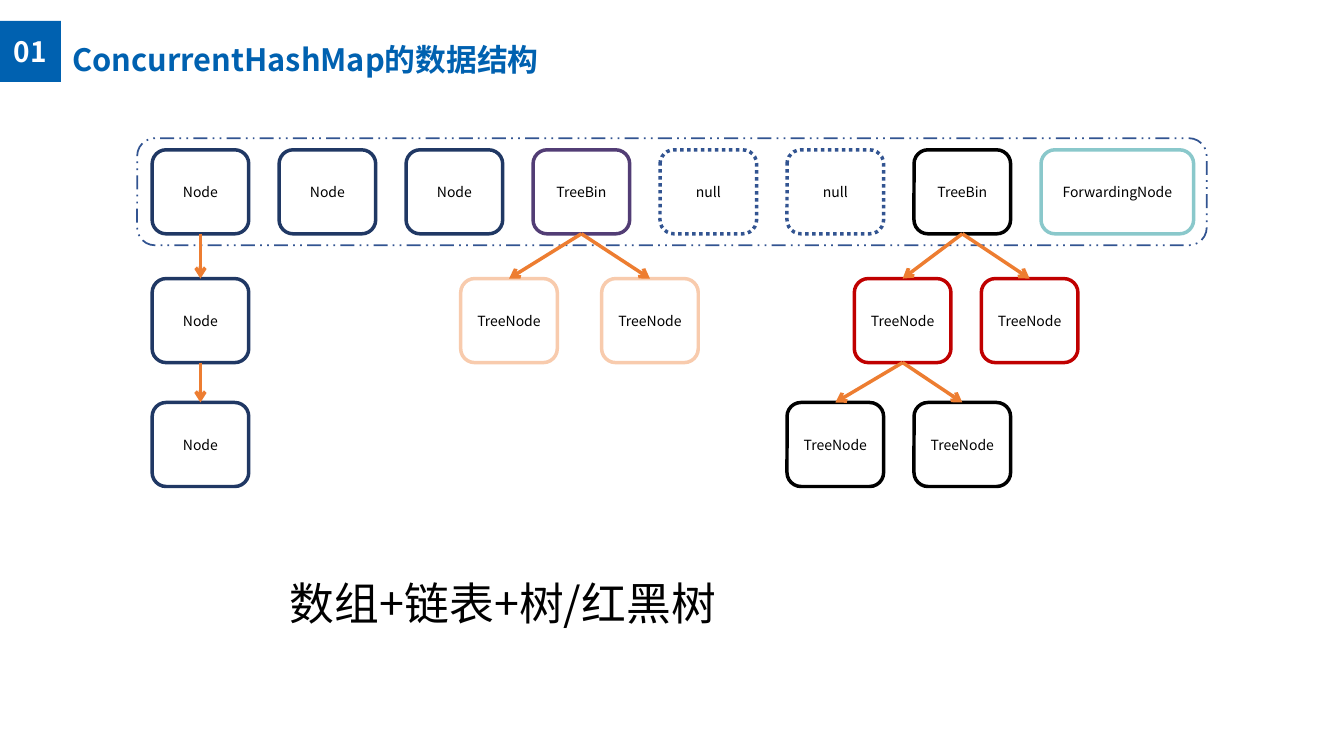
"""Build a slide on the data structure behind ConcurrentHashMap."""
from lxml import etree
from pptx import Presentation
from pptx.dml.color import RGBColor
from pptx.enum.dml import MSO_LINE
from pptx.enum.shapes import MSO_CONNECTOR, MSO_SHAPE
from pptx.enum.text import MSO_ANCHOR, MSO_AUTO_SIZE, PP_ALIGN
from pptx.oxml.ns import qn
from pptx.util import Pt

RECTANGLE, ROUNDED = MSO_SHAPE.RECTANGLE, MSO_SHAPE.ROUNDED_RECTANGLE
STRAIGHT = MSO_CONNECTOR.STRAIGHT
DOTTED, DASH_DOT_DOT = MSO_LINE.ROUND_DOT, MSO_LINE.DASH_DOT_DOT
LEFT, CENTER = PP_ALIGN.LEFT, PP_ALIGN.CENTER
TOP, MIDDLE = MSO_ANCHOR.TOP, MSO_ANCHOR.MIDDLE
NO_AUTOFIT = MSO_AUTO_SIZE.NONE

FONT = "Noto Sans CJK SC"
BLUE = RGBColor(0x00, 0x61, 0xB0)
NAVY = RGBColor(0x20, 0x38, 0x64)
INDIGO = RGBColor(0x32, 0x54, 0x91)
PURPLE = RGBColor(0x52, 0x3D, 0x75)
PEACH = RGBColor(0xF8, 0xCB, 0xAD)
TEAL = RGBColor(0x8A, 0xC8, 0xCB)
RED = RGBColor(0xC0, 0x00, 0x00)
ORANGE = RGBColor(0xED, 0x7D, 0x31)
BLACK = RGBColor(0x00, 0x00, 0x00)
WHITE = RGBColor(0xFF, 0xFF, 0xFF)

TITLE = "ConcurrentHashMap的数据结构"
SECTION = "01"
CAPTION = "数组+链表+树/红黑树"

BUCKETS = [
    ("Node", NAVY, None),
    ("Node", NAVY, None),
    ("Node", NAVY, None),
    ("TreeBin", PURPLE, None),
    ("null", INDIGO, DOTTED),
    ("null", INDIGO, DOTTED),
    ("TreeBin", BLACK, None),
    ("ForwardingNode", TEAL, None),
]
CHILDREN = {
    "chain 1": ("Node", NAVY, 1, 0),
    "chain 2": ("Node", NAVY, 2, 0),
    "peach left": ("TreeNode", PEACH, 1, 2.43),
    "peach right": ("TreeNode", PEACH, 1, 3.54),
    "red left": ("TreeNode", RED, 1, 5.53),
    "red right": ("TreeNode", RED, 1, 6.53),
    "black left": ("TreeNode", BLACK, 2, 5),
    "black right": ("TreeNode", BLACK, 2, 6),
}
LINKS = [
    (0, "chain 1"), ("chain 1", "chain 2"),
    (3, "peach left"), (3, "peach right"),
    (6, "red left"), (6, "red right"),
    ("red left", "black left"), ("red left", "black right"),
]

GRID_LEFT, COLUMN_PITCH = 108.7, 90.7
ROW_TOPS = [107, 199, 287.5]
NODE_WIDTH, NODE_HEIGHT, FORWARDING_WIDTH = 69, 60, 109


def write_text(shape, text, size, color=BLACK, bold=False, align=CENTER,
               anchor=MIDDLE, spacing=None):
    """Write one formatted paragraph into a shape."""
    frame = shape.text_frame
    frame.auto_size = NO_AUTOFIT
    frame.word_wrap = True
    frame.vertical_anchor = anchor
    paragraph = frame.paragraphs[0]
    paragraph.alignment = align
    if spacing:
        paragraph.line_spacing = spacing
    run = paragraph.add_run()
    run.text = text
    run.font.name = FONT
    run.font.size = Pt(size)
    run.font.bold = bold
    run.font.color.rgb = color
    etree.SubElement(run.font._element, qn("a:ea"), typeface=FONT)


def add_box(slide, kind, left, top, width, height, fill=None, line=None,
            weight=2.5, dash=None):
    """Add a flat shape with the given fill and outline."""
    shape = slide.shapes.add_shape(kind, Pt(left), Pt(top), Pt(width), Pt(height))
    shape.shadow.inherit = False
    if fill is None:
        shape.fill.background()
    else:
        shape.fill.solid()
        shape.fill.fore_color.rgb = fill
    if line is None:
        shape.line.fill.background()
    else:
        shape.line.color.rgb = line
        shape.line.width = Pt(weight)
        if dash:
            shape.line.dash_style = dash
    return shape


def add_node(slide, text, color, row, column, width=NODE_WIDTH, dash=None):
    """Add a labelled node at a row and column of the grid."""
    left = GRID_LEFT + column * COLUMN_PITCH
    node = add_box(slide, ROUNDED, left, ROW_TOPS[row], width, NODE_HEIGHT,
                   fill=WHITE, line=color, dash=dash)
    write_text(node, text, 10)
    return node


def link(slide, parent, child):
    """Join the bottom of a parent to the top of a child with an arrow."""
    connector = slide.shapes.add_connector(STRAIGHT, 0, 0, 0, 0)
    connector.begin_connect(parent, 2)
    connector.end_connect(child, 0)
    connector.line.color.rgb = ORANGE
    connector.line.width = Pt(2.5)
    etree.SubElement(connector.line._get_or_add_ln(), qn("a:tailEnd"), type="arrow")
    etree.SubElement(connector._element.spPr, qn("a:effectLst"))


def main():
    """Build and save the presentation."""
    presentation = Presentation()
    presentation.slide_width, presentation.slide_height = Pt(960), Pt(540)
    slide = presentation.slides.add_slide(presentation.slide_layouts[5])

    title = slide.shapes.title
    title.left, title.top, title.width, title.height = Pt(44.6), Pt(-1.4), Pt(360), Pt(60.5)
    write_text(title, TITLE, 22, color=BLUE, bold=True, align=LEFT, spacing=2.0)

    badge = add_box(slide, RECTANGLE, 0, 15, 43.5, 43.5, fill=BLUE)
    write_text(badge, SECTION, 20, color=WHITE, bold=True)

    caption = slide.shapes.add_textbox(Pt(200), Pt(408), Pt(325.5), Pt(46))
    write_text(caption, CAPTION, 32, align=LEFT, anchor=TOP)

    add_box(slide, ROUNDED, 98, 98.7, 764, 76.5, line=INDIGO, weight=1.25,
            dash=DASH_DOT_DOT)
    nodes = {}
    for column, (text, color, dash) in enumerate(BUCKETS):
        width = FORWARDING_WIDTH if text == "ForwardingNode" else NODE_WIDTH
        nodes[column] = add_node(slide, text, color, 0, column, width, dash)
    for name, (text, color, row, column) in CHILDREN.items():
        nodes[name] = add_node(slide, text, color, row, column)
    for parent, child in LINKS:
        link(slide, nodes[parent], nodes[child])

    presentation.save("out.pptx")


if __name__ == "__main__":
    main()
